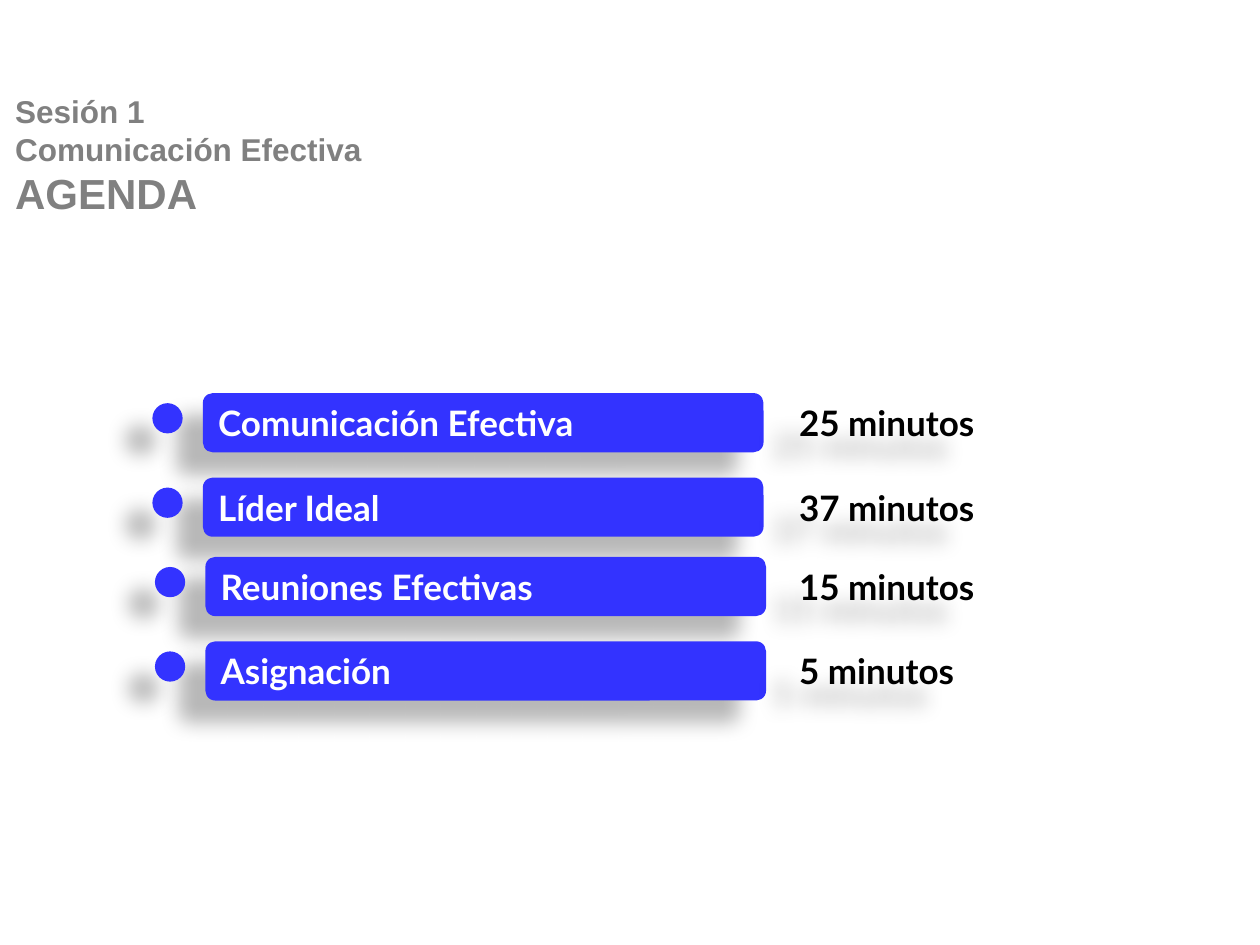
from lxml import etree
from pptx import Presentation
from pptx import util as u
from pptx.dml.color import RGBColor
from pptx.enum import shapes, text
from pptx.oxml.ns import qn

BLUE = RGBColor(0x33, 0x33, 0xFF)
WHITE = RGBColor(0xFF, 0xFF, 0xFF)
BLACK = RGBColor(0, 0, 0)
GRAY = RGBColor(0x80, 0x80, 0x80)

# Grid in inches: row tops, with the last two rows nudged right
ROW_HEIGHT = 0.47
DOT_SIZE = 0.24
DOT_LEFT, TOPIC_LEFT, TIME_LEFT = 1.21, 1.61, 6.22
TOPIC_WIDTH, TIME_WIDTH = 4.45, 2.09
AGENDA = [
    # top, nudge, topic, duration
    (3.12, 0, "Comunicación Efectiva", "25 minutos"),
    (3.79, 0, "Líder Ideal", "37 minutos"),
    (4.42, 0.02, "Reuniones Efectivas", "15 minutos"),
    (5.09, 0.02, "Asignación", "5 minutos"),
]
HEADING = [("Sesión 1", 18), ("Comunicación Efectiva", 18), ("AGENDA", 24)]


def style_font(font, name, size, color):
    font.name, font.size, font.bold = name, u.Pt(size), True
    font.color.rgb = color


def cast_shadow(shape):
    """Give the shape a soft shadow falling down and to the left."""
    shape.shadow.inherit = False
    effects = shape._element.spPr.find(qn("a:effectLst"))
    shadow = etree.SubElement(
        effects, qn("a:outerShdw"), blurRad=str(u.Pt(11.8)),
        dist=str(u.Pt(19.7)), dir=str(141 * 60000), algn="ctr", rotWithShape="0")
    color = etree.SubElement(shadow, qn("a:srgbClr"), val=str(BLACK))
    etree.SubElement(color, qn("a:alpha"), val="28000")


def add_shadowed(slide, kind, left, top, width, height, fill=None):
    shape = slide.shapes.add_shape(
        kind, u.Inches(left), u.Inches(top), u.Inches(width), u.Inches(height))
    if fill is None:
        shape.fill.background()
    else:
        shape.fill.solid()
        shape.fill.fore_color.rgb = fill
    shape.line.fill.background()
    cast_shadow(shape)
    return shape


def add_label(slide, left, top, width, words, color, fill=None):
    label = add_shadowed(slide, shapes.MSO_SHAPE.ROUNDED_RECTANGLE,
                         left, top, width, ROW_HEIGHT, fill)
    frame = label.text_frame
    frame.word_wrap = True
    frame.vertical_anchor = text.MSO_ANCHOR.MIDDLE
    line = frame.paragraphs[0]
    line.text = words
    line.alignment = text.PP_ALIGN.LEFT
    style_font(line.font, "Lato", 20, color)


def add_agenda_row(slide, top, nudge, topic, duration):
    add_label(slide, TOPIC_LEFT + nudge, top, TOPIC_WIDTH, topic, WHITE, BLUE)
    add_shadowed(slide, shapes.MSO_SHAPE.OVAL, DOT_LEFT + nudge, top + 0.08,
                 DOT_SIZE, DOT_SIZE, BLUE)
    add_label(slide, TIME_LEFT, top, TIME_WIDTH, duration, BLACK)


def fill_heading(heading):
    heading.left, heading.top = u.Inches(0.02), u.Inches(0.68)
    heading.width, heading.height = u.Inches(2.98), u.Inches(1.11)
    frame = heading.text_frame
    frame.word_wrap = False
    frame.auto_size = text.MSO_AUTO_SIZE.SHAPE_TO_FIT_TEXT
    frame.vertical_anchor = text.MSO_ANCHOR.TOP
    frame.text = "\n".join(words for words, _ in HEADING)
    for line, (_, size) in zip(frame.paragraphs, HEADING):
        line.alignment = text.PP_ALIGN.LEFT
        style_font(line.font, "Arial", size, GRAY)


def main():
    deck = Presentation()
    deck.slide_width, deck.slide_height = u.Inches(10), u.Inches(7.5)
    slide = deck.slides.add_slide(deck.slide_layouts[5])  # Title Only

    # Session heading
    fill_heading(slide.shapes.title)

    # Agenda topics with their durations
    for row in AGENDA:
        add_agenda_row(slide, *row)

    deck.save("out.pptx")


if __name__ == "__main__":
    main()
